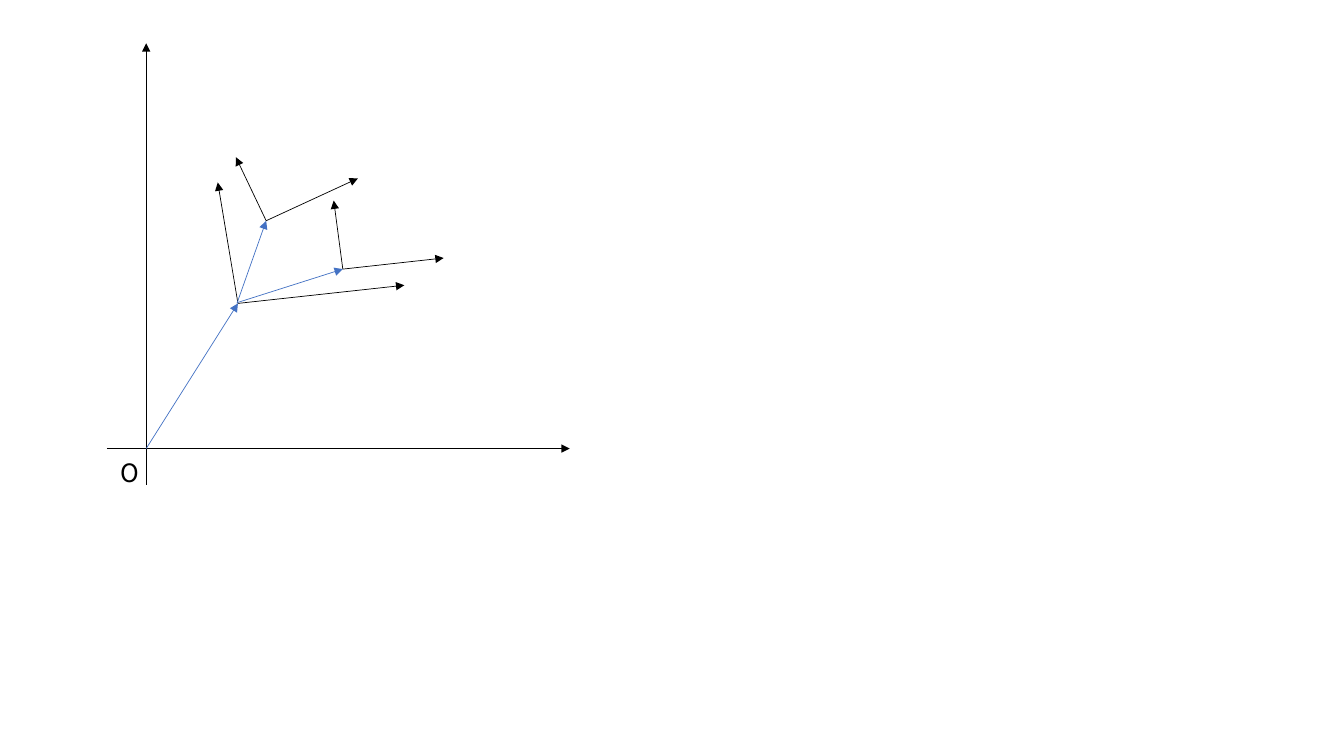
from lxml import etree
from pptx import Presentation
from pptx import util as u
from pptx.dml import color
from pptx.enum import shapes, text
from pptx.oxml import ns

HUES = {"axis": "000000", "shift": "4472C4"}


class Sketch:
    font = "Noto Sans CJK SC"
    size = 18
    width = 0.5

    def __init__(self, slide):
        self.slide = slide

    def arrow(self, start, end, hue="axis"):
        ends = [u.Inches(n) for n in (*start, *end)]
        item = self.slide.shapes.add_connector(shapes.MSO_CONNECTOR.STRAIGHT, *ends)
        item.line.width = u.Pt(self.width)
        item.line.color.rgb = color.RGBColor.from_string(HUES[hue])
        props = item._element.spPr
        etree.SubElement(item.line._get_or_add_ln(), ns.qn("a:tailEnd"), type="triangle")
        etree.SubElement(props, ns.qn("a:effectLst"))

    def label(self, words, *place):
        box = self.slide.shapes.add_textbox(*[u.Inches(n) for n in place])
        frame = box.text_frame
        frame.word_wrap = False
        frame.auto_size = text.MSO_AUTO_SIZE.SHAPE_TO_FIT_TEXT
        frame.text = words
        run = frame.paragraphs[0].runs[0]
        run.font.size = u.Pt(self.size)
        run.font.name = self.font
        run.font.color.rgb = color.RGBColor.from_string(HUES["axis"])
        # East Asian typeface
        etree.SubElement(run.font._element, ns.qn("a:ea"), typeface=self.font)

    def frame(self, base, *tips):
        for tip in tips:
            self.arrow(base, tip)


def main():
    deck = Presentation()
    deck.slide_width, deck.slide_height = u.Inches(13.33), u.Inches(7.5)
    sketch = Sketch(deck.slides.add_slide(deck.slide_layouts[6]))

    # World axes and origin
    zero = (1.45, 4.45)
    sketch.arrow((zero[0], 4.81), (zero[0], 0.43))
    sketch.arrow((1.06, zero[1]), (5.65, zero[1]))
    sketch.label("O", 1.1, 4.49, 0.39, 0.4)

    # Parent frame and its two child frames
    base, right, upper = (2.36, 3.01), (3.4, 2.67), (2.64, 2.19)
    sketch.frame(base, (2.16, 1.81), (4.01, 2.83))
    sketch.arrow(zero, base, "shift")
    sketch.arrow((2.36, 3), right, "shift")
    sketch.frame(upper, (2.34, 1.56), (3.55, 1.77))
    sketch.arrow((2.35, 3.01), upper, "shift")
    sketch.frame(right, (3.31, 1.99), (4.4, 2.56))

    deck.save("out.pptx")


if __name__ == "__main__":
    main()
